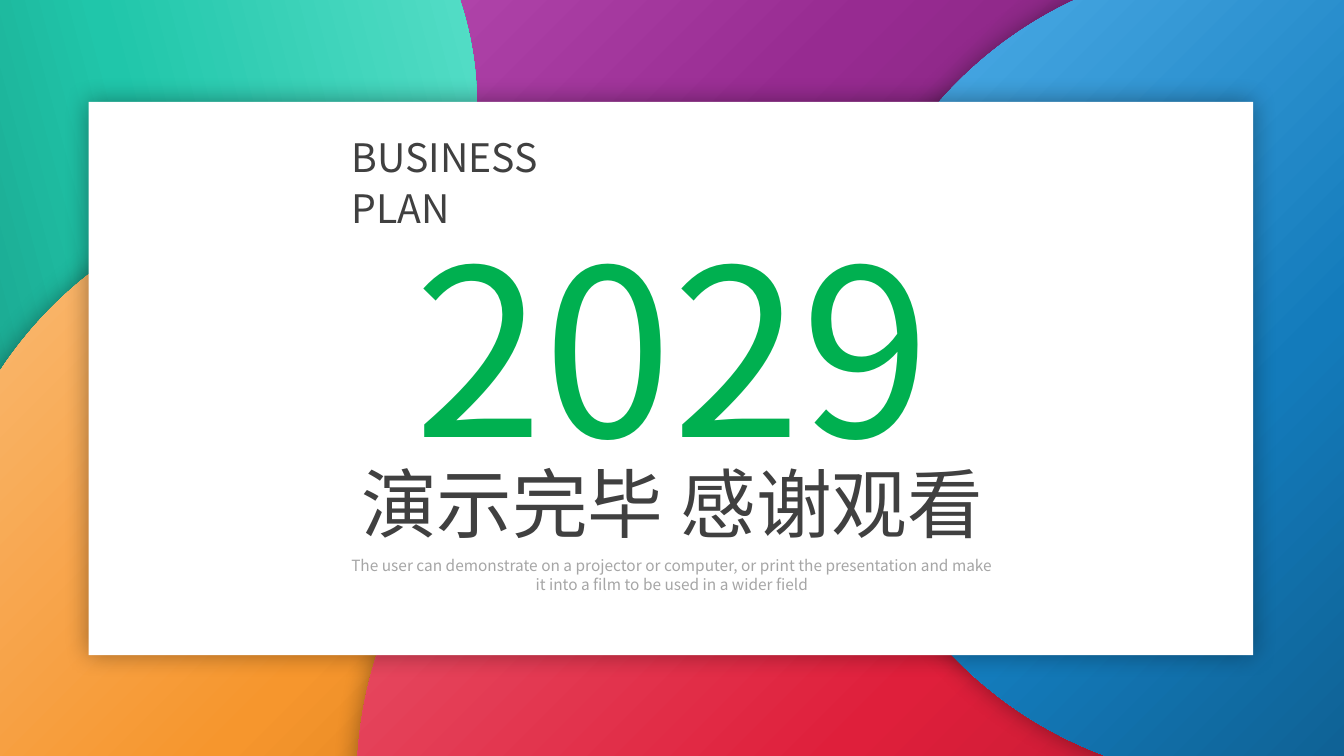
from dataclasses import dataclass

from lxml import etree
from pptx import Presentation
from pptx.dml.color import RGBColor
from pptx.enum.shapes import MSO_SHAPE
from pptx.enum.text import MSO_ANCHOR, MSO_AUTO_SIZE, PP_ALIGN
from pptx.oxml.ns import qn
from pptx.util import Inches, Pt

OVAL, RECTANGLE = MSO_SHAPE.OVAL, MSO_SHAPE.RECTANGLE
LEFT, CENTER = PP_ALIGN.LEFT, PP_ALIGN.CENTER
TOP = MSO_ANCHOR.TOP
GROW = MSO_AUTO_SIZE.SHAPE_TO_FIT_TEXT


@dataclass(frozen=True)
class Theme:
    font: str = "Noto Sans CJK SC"
    line_height: float = 1.25
    white: str = "FFFFFF"
    ink: str = "404040"
    muted: str = "A6A6A6"
    green: str = "00B050"
    shadow: str = "000000"
    title_shades: tuple = ("262626", "404040", "595959")
    purple: tuple = ("601B5C", "972B91", "D367CE")
    teal: tuple = ("15806E", "20C6AA", "6AE7D2")
    orange: tuple = ("B76308", "F6962D", "FABE7D")
    red: tuple = ("911426", "DF1F3B", "EC7485")
    blue: tuple = ("0C4E77", "137BBB", "54B3EE")
    label_size: int = 28
    year_size: int = 166
    title_size: int = 54
    note_size: int = 11


THEME = Theme()


def add_node(parent, tag, **attributes):
    return etree.SubElement(parent, qn(tag), {k: str(v) for k, v in attributes.items()})


def set_gradient(fill, properties, shades, angle=None):
    """Three-shade gradient: linear at an angle, or circular from the lower right."""
    fill.solid()
    solid = properties.find(qn("a:solidFill"))
    gradient = etree.Element(qn("a:gradFill"), rotWithShape="1")
    stops = add_node(gradient, "a:gsLst")
    for position, shade in zip((0, 48, 100), shades):
        stop = add_node(stops, "a:gs", pos=position * 1000)
        add_node(stop, "a:srgbClr", val=shade)
    if angle is None:
        circle = add_node(gradient, "a:path", path="circle")
        add_node(circle, "a:fillToRect", l=100000, t=100000)
    else:
        add_node(gradient, "a:lin", ang=angle * 60000, scaled=0)
    properties.replace(solid, gradient)


def add_soft_shadow(shape):
    effects = shape.element.spPr.find(qn("a:effectLst"))
    shadow = add_node(effects, "a:outerShdw", blurRad=Pt(18), dist=0, dir=0,
                      algn="ctr", rotWithShape=0)
    color = add_node(shadow, "a:srgbClr", val=THEME.shadow)
    add_node(color, "a:alpha", val=37000)


def add_plain_shape(page, kind, left, top, width, height):
    shape = page.shapes.add_shape(kind, Inches(left), Inches(top),
                                  Inches(width), Inches(height))
    shape.shadow.inherit = False
    shape.line.fill.background()
    return shape


def write_text(box, text, size, color, align=CENTER):
    frame = box.text_frame
    frame.text = text
    frame.word_wrap = True
    frame.auto_size = GROW
    frame.vertical_anchor = TOP
    para = frame.paragraphs[0]
    para.alignment = align
    para.space_before = Pt(0)
    para.line_spacing = Pt(round(size * THEME.line_height, 2))
    span = para.runs[0]
    span.font.size = Pt(size)
    span.font.color.rgb = RGBColor.from_string(color)
    span.font.name = THEME.font
    latin = span.font._element.find(qn("a:latin"))
    east_asian = etree.Element(qn("a:ea"), typeface=THEME.font)
    latin.addnext(east_asian)
    return span


def place(box, left, top, width, height):
    box.left, box.top = Inches(left), Inches(top)
    box.width, box.height = Inches(width), Inches(height)


def bring_to_front(box):
    box.element.getparent().append(box.element)


def add_backdrop(page, left, top):
    """Overlapping coloured discs that bleed off the page."""
    discs = (
        # x, y, diameter, rotation, shades, angle, shadow
        (3.39, -3.17, 8.13, 104.3, THEME.purple, None, True),
        (-1.87, -2.26, 6.6, 75, THEME.teal, 270, False),
        (-0.67, 1.85, 8.13, 0, THEME.orange, None, True),
        (3.54, 3.68, 8.13, 232, THEME.red, None, True),
        (8.31, -0.38, 8.13, 90, THEME.blue, None, True),
    )
    for x, y, diameter, rotation, shades, angle, shaded in discs:
        disc = add_plain_shape(page, OVAL, left + x, top + y, diameter, diameter)
        disc.rotation = rotation
        set_gradient(disc.fill, disc.element.spPr, shades, angle)
        if shaded:
            add_soft_shadow(disc)


def add_card(page, left, top, width, height):
    """White card with the closing words."""
    card = add_plain_shape(page, RECTANGLE, left, top, width, height)
    card.fill.solid()
    card.fill.fore_color.rgb = RGBColor.from_string(THEME.white)
    add_soft_shadow(card)

    # Closing title and note
    title, note = page.placeholders
    place(title, left + 2.34, top + 3.44, 6.89, 1.01)
    span = write_text(title, "演示完毕 感谢观看", THEME.title_size, THEME.ink)
    set_gradient(span.font.fill, span.font._element, THEME.title_shades, 90)
    place(note, left + 2.47, top + 4.45, 6.63, 0.47)
    write_text(note, "The user can demonstrate on a projector or computer, or print "
               "the presentation and make it into a film to be used in a wider field",
               THEME.note_size, THEME.muted)
    bring_to_front(title)
    bring_to_front(note)

    # Stacked label
    labels = page.shapes.add_group_shape()
    for row, word in enumerate(("BUSINESS", "PLAN")):
        label = labels.shapes.add_textbox(
            Inches(left + 2.51), Inches(top + 0.24 + row * 0.51),
            Inches(6.55), Inches(0.57))
        write_text(label, word, THEME.label_size, THEME.ink, LEFT)

    # Year
    year = page.shapes.add_textbox(Inches(left + 2.68), Inches(top + 0.86),
                                   Inches(6.21), Inches(2.9))
    write_text(year, "2029", THEME.year_size, THEME.green)


def main():
    deck = Presentation()
    deck.slide_width, deck.slide_height = Inches(13.33), Inches(7.5)
    page = deck.slides.add_slide(deck.slide_layouts[0])
    add_backdrop(page, 0, 0)
    add_card(page, 0.88, 1.01, 11.55, 5.49)
    deck.save("out.pptx")


if __name__ == "__main__":
    main()
